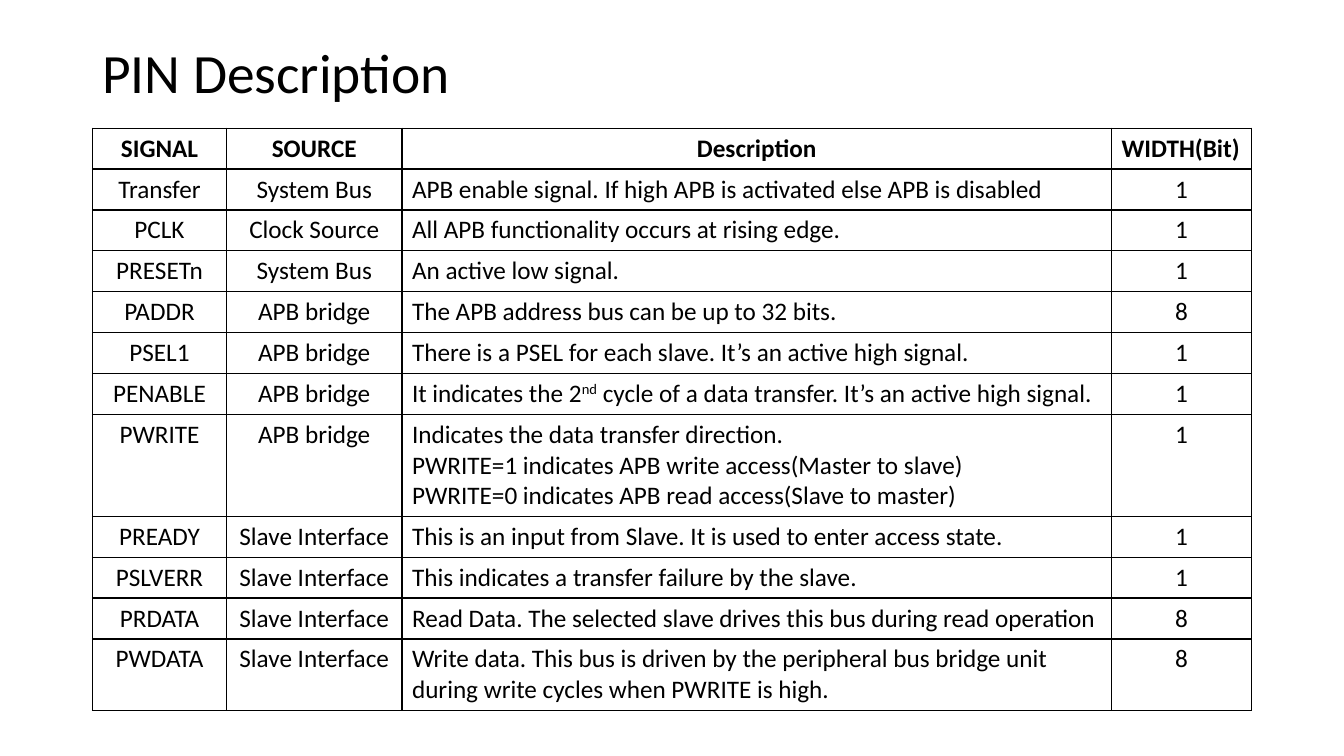
"""Build a slide with a table of APB pins."""
import pptx
import pptx.dml.color
import pptx.enum.text
import pptx.oxml
import pptx.oxml.ns
import pptx.util

Cm = pptx.util.Cm
Pt = pptx.util.Pt
ALIGN = pptx.enum.text.PP_ALIGN
COLORS = {"ink": "000000", "paper": "FFFFFF"}


class SlideBuilder:
    """Hold the style and the current slide."""

    def __init__(self, slide, font="Calibri"):
        self.slide = slide
        self.font = font

    def color(self, name):
        """Return a palette colour."""
        return pptx.dml.color.RGBColor.from_string(COLORS[name])

    def set_text(self, paragraph, text, size, bold=False, align=ALIGN.LEFT):
        """Set the text, raising the parts between carets."""
        for index, part in enumerate(text.split("^")):
            run = paragraph.add_run()
            run.text = part
            if index % 2:
                run.font._element.set("baseline", "30000")
        paragraph.alignment = align
        paragraph.font.name = self.font
        paragraph.font.size = Pt(size)
        paragraph.font.bold = bold
        paragraph.font.color.rgb = self.color("ink")

    def title(self, text, left, top, width, height):
        """Add the slide title."""
        frame = self.slide.shapes.add_textbox(Cm(left), Cm(top), Cm(width), Cm(height)).text_frame
        frame.word_wrap = True
        frame.vertical_anchor = pptx.enum.text.MSO_ANCHOR.MIDDLE
        heading = frame.paragraphs[0]
        self.set_text(heading, text, 39.6)
        heading.line_spacing = 0.9

    def border(self, cell):
        """Draw a thin line on each side of a cell."""
        for side in ("lnL", "lnR", "lnT", "lnB"):
            cell._tc.get_or_add_tcPr().append(pptx.oxml.parse_xml(
                f'<a:{side} {pptx.oxml.ns.nsdecls("a")} w="12700"><a:solidFill>'
                f'<a:srgbClr val="{COLORS["ink"]}"/></a:solidFill></a:{side}>'))

    def fill_cell(self, cell, text, bold, align):
        """Style a cell and add one paragraph per line."""
        self.border(cell)
        cell.fill.solid()
        cell.fill.fore_color.rgb = self.color("paper")
        frame = cell.text_frame
        for index, line in enumerate(text.split("\n")):
            paragraph = frame.add_paragraph() if index else frame.paragraphs[0]
            self.set_text(paragraph, line, 18, bold, align)

    def table(self, rows, left, top, widths, heights, left_aligned):
        """Add a ruled table whose first row is the header."""
        table = self.slide.shapes.add_table(
            len(rows), len(widths), Cm(left), Cm(top), Cm(sum(widths)), Cm(sum(heights))).table
        table.first_row = table.horz_banding = False
        for column, width in zip(table.columns, widths):
            column.width = Cm(width)
        for row_index, (row, height) in enumerate(zip(rows, heights)):
            table.rows[row_index].height = Cm(height)
            for column_index, text in enumerate(row):
                align = ALIGN.LEFT if (row_index > 0, column_index) in left_aligned else ALIGN.CENTER
                self.fill_cell(table.cell(row_index, column_index), text, row_index == 0, align)


PINS = [
    ("SIGNAL", "SOURCE", "Description", "WIDTH(Bit)"),
    ("Transfer", "System Bus", "APB enable signal. If high APB is activated else APB is disabled", "1"),
    ("PCLK", "Clock Source", "All APB functionality occurs at rising edge.", "1"),
    ("PRESETn", "System Bus", "An active low signal.", "1"),
    ("PADDR", "APB bridge", "The APB address bus can be up to 32 bits.", "8"),
    ("PSEL1", "APB bridge", "There is a PSEL for each slave. It’s an active high signal.", "1"),
    ("PENABLE", "APB bridge",
     "It indicates the 2^nd^ cycle of a data transfer. It’s an active high signal.", "1"),
    ("PWRITE", "APB bridge",
     "Indicates the data transfer direction.\n"
     "PWRITE=1 indicates APB write access(Master to slave)\n"
     "PWRITE=0 indicates APB read access(Slave to master)", "1"),
    ("PREADY", "Slave Interface", "This is an input from Slave. It is used to enter access state.", "1"),
    ("PSLVERR", "Slave Interface", "This indicates a transfer failure by the slave.", "1"),
    ("PRDATA", "Slave Interface",
     "Read Data. The selected slave drives this bus during read operation", "8"),
    ("PWDATA", "Slave Interface",
     "Write data. This bus is driven by the peripheral bus bridge unit "
     "during write cycles when PWRITE is high.", "8"),
]
LINE_COUNTS = {"PWRITE": 3, "PWDATA": 2}

presentation = pptx.Presentation()
presentation.slide_width = Cm(33.87)
presentation.slide_height = Cm(19.05)
builder = SlideBuilder(presentation.slides.add_slide(presentation.slide_layouts[6]))
builder.title("PIN Description", 2.33, 1.02, 10.36, 1.78)
row_heights = [0.26 + 0.77 * LINE_COUNTS.get(signal, 1) for signal, *_ in PINS]
builder.table(PINS, 2.33, 3.23, [3.38, 4.42, 17.88, 3.53], row_heights,
              left_aligned={(False, 3), (True, 2)})
presentation.save("out.pptx")
